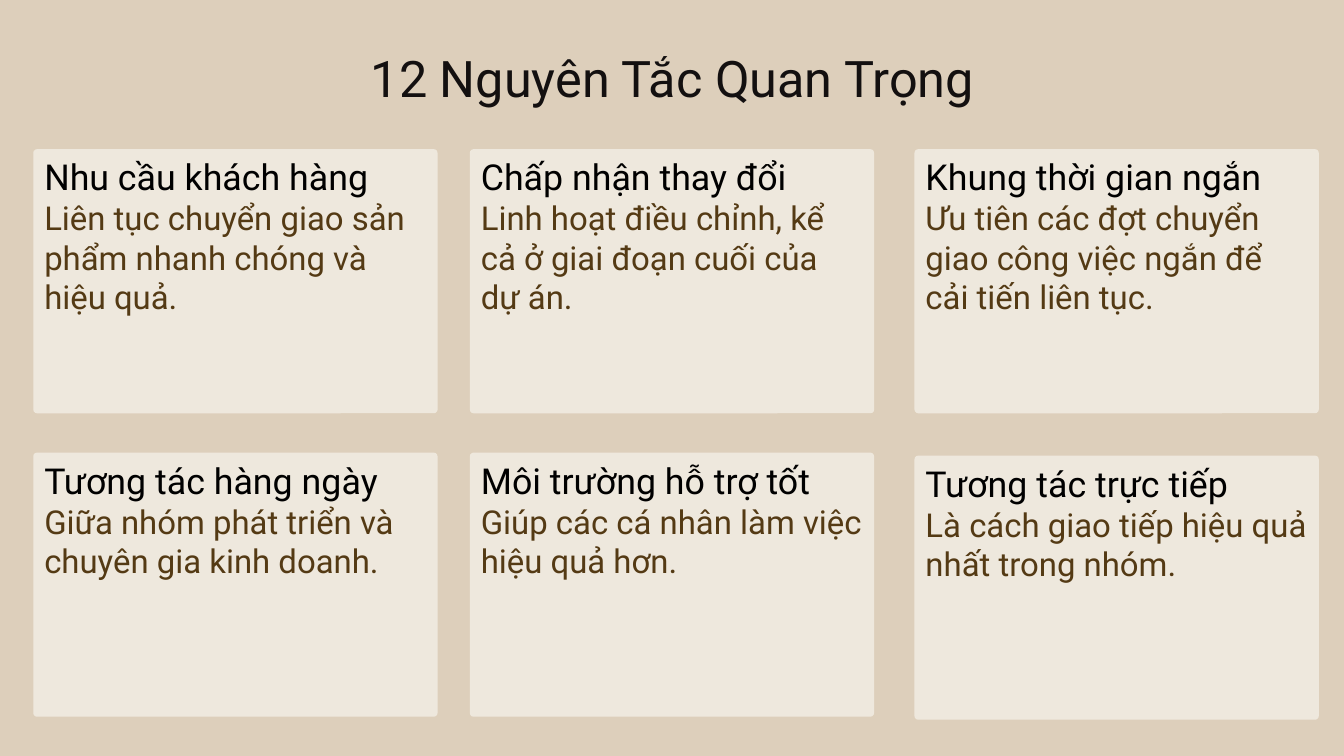
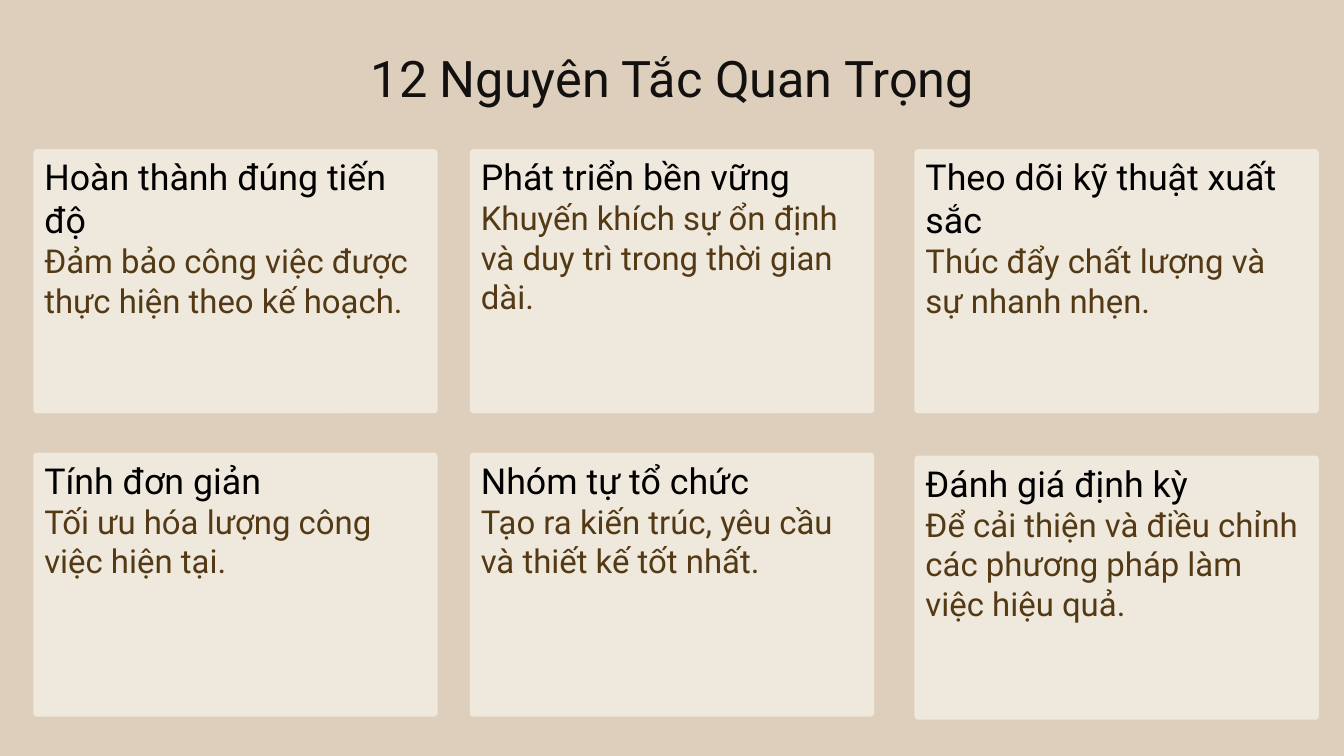
"""Build two slides that present twelve principles as cards."""
from typing import NamedTuple

from pptx import Presentation
from pptx.dml.color import RGBColor
from pptx.enum.shapes import MSO_SHAPE
from pptx.enum.text import MSO_ANCHOR, PP_ALIGN
from pptx.slide import Slide
from pptx.text.text import _Paragraph as Paragraph
from pptx.util import Inches, Pt

SAND = RGBColor(0xDD, 0xCF, 0xBB)
CREAM = RGBColor(0xEE, 0xE8, 0xDD)
BLACK = RGBColor(0x00, 0x00, 0x00)
BROWN = RGBColor(0x54, 0x3A, 0x14)
INK = RGBColor(0x13, 0x10, 0x10)
FONT = "Roboto"

TITLE = "12 Nguyên Tắc Quan Trọng"
CARD_WIDTH, CARD_HEIGHT = 4.01, 2.62
TOP_ROW, BOTTOM_ROW = 1.48, 4.49
CARD_POSITIONS = (
    (0.33, TOP_ROW), (4.66, TOP_ROW), (9.07, TOP_ROW),
    (0.33, BOTTOM_ROW), (4.66, BOTTOM_ROW), (9.07, BOTTOM_ROW + 0.03),
)


class Principle(NamedTuple):
    heading: str
    detail: str


SLIDES = (
    (
        Principle("Nhu cầu khách hàng", "Liên tục chuyển giao sản phẩm nhanh chóng và hiệu quả."),
        Principle("Chấp nhận thay đổi", "Linh hoạt điều chỉnh, kể cả ở giai đoạn cuối của dự án."),
        Principle("Khung thời gian ngắn",
                  "Ưu tiên các đợt chuyển giao công việc ngắn để cải tiến liên tục."),
        Principle("Tương tác hàng ngày", "Giữa nhóm phát triển và chuyên gia kinh doanh."),
        Principle("Môi trường hỗ trợ tốt", "Giúp các cá nhân làm việc hiệu quả hơn."),
        Principle("Tương tác trực tiếp", "Là cách giao tiếp hiệu quả nhất trong nhóm."),
    ),
    (
        Principle("Hoàn thành đúng tiến độ", "Đảm bảo công việc được thực hiện theo kế hoạch."),
        Principle("Phát triển bền vững", "Khuyến khích sự ổn định và duy trì trong thời gian dài."),
        Principle("Theo dõi kỹ thuật xuất sắc", "Thúc đẩy chất lượng và sự nhanh nhẹn."),
        Principle("Tính đơn giản", "Tối ưu hóa lượng công việc hiện tại."),
        Principle("Nhóm tự tổ chức", "Tạo ra kiến trúc, yêu cầu và thiết kế tốt nhất."),
        Principle("Đánh giá định kỳ",
                  "Để cải thiện và điều chỉnh các phương pháp làm việc hiệu quả."),
    ),
)


def write(paragraph: Paragraph, text: str, size: float, color: RGBColor,
          alignment: PP_ALIGN = PP_ALIGN.LEFT) -> None:
    paragraph.text = text
    paragraph.alignment = alignment
    font = paragraph.runs[0].font
    font.name = FONT
    font.size = Pt(size)
    font.color.rgb = color


def add_title(slide: Slide) -> None:
    title = slide.shapes.add_textbox(Inches(2.73), Inches(0.42), Inches(7.88), Inches(0.71))
    title.text_frame.word_wrap = True
    write(title.text_frame.paragraphs[0], TITLE, 36, INK, PP_ALIGN.CENTER)


def add_card(slide: Slide, principle: Principle, left: float, top: float) -> None:
    card = slide.shapes.add_shape(
        MSO_SHAPE.ROUNDED_RECTANGLE,
        Inches(left), Inches(top), Inches(CARD_WIDTH), Inches(CARD_HEIGHT),
    )
    card.adjustments[0] = 0.014
    card.shadow.inherit = False
    card.fill.solid()
    card.fill.fore_color.rgb = CREAM
    card.line.fill.background()
    text_frame = card.text_frame
    text_frame.word_wrap = True
    text_frame.vertical_anchor = MSO_ANCHOR.TOP
    write(text_frame.paragraphs[0], principle.heading, 25.5, BLACK)
    write(text_frame.add_paragraph(), principle.detail, 23.5, BROWN)


def main() -> None:
    presentation = Presentation()
    presentation.slide_width = Inches(13.33)
    presentation.slide_height = Inches(7.5)
    background = presentation.slide_master.background.fill
    background.solid()
    background.fore_color.rgb = SAND
    for principles in SLIDES:
        slide = presentation.slides.add_slide(presentation.slide_layouts[6])
        for principle, (left, top) in zip(principles, CARD_POSITIONS):
            add_card(slide, principle, left, top)
        add_title(slide)
    presentation.save("out.pptx")


if __name__ == "__main__":
    main()
